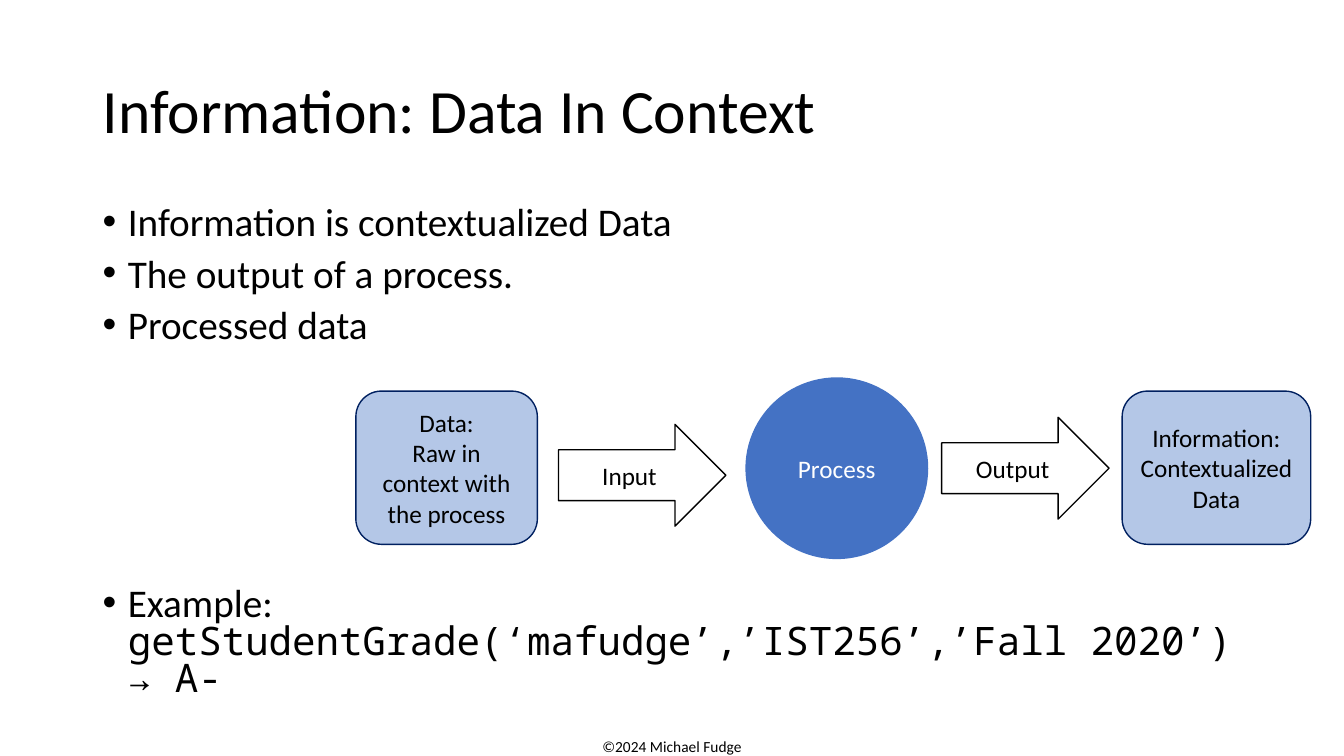
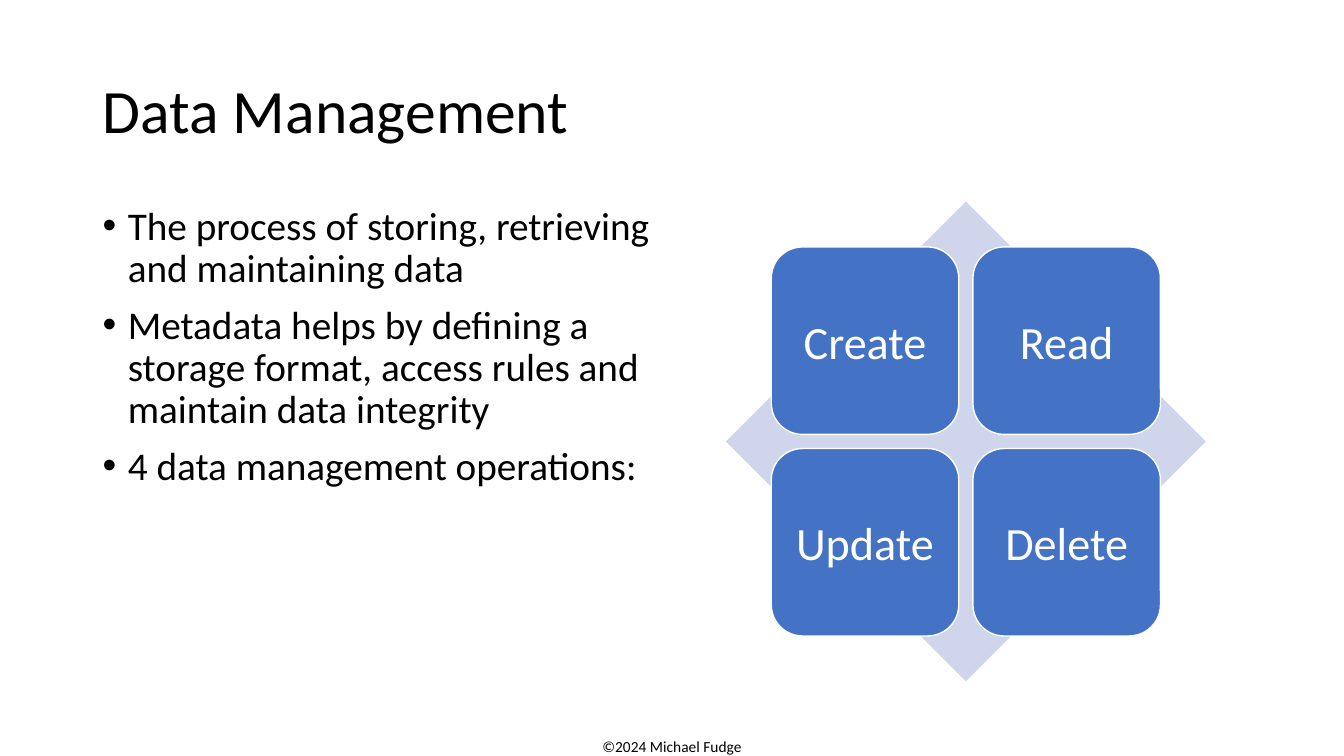
from itertools import product

from lxml.etree import SubElement
from pptx import Presentation
from pptx.dml.color import RGBColor
from pptx.enum.shapes import MSO_SHAPE as Shape
from pptx.enum.text import MSO_ANCHOR as Anchor, PP_ALIGN as Align
from pptx.oxml.ns import qn
from pptx.util import Inches, Pt

FONT, MONO = "Calibri", "Noto Sans Mono"
BLACK, WHITE, BLUE = "000000", "FFFFFF", "4472C4"
PALE, NAVY, MIST = "B4C7E7", "002060", "CFD5EA"
LEFT, TOP, HIGH = 0.92, 2, 4.76


def color(code):
    """Turn a hex string into a colour."""
    return RGBColor.from_string(code)


def style(para, size, tint=BLACK, align=Align.LEFT, lead=None):
    """Format a paragraph and its runs."""
    para.alignment = align
    if lead:
        para.line_spacing = lead
    for run in para.runs:
        run.font.name = FONT
        run.font.size = Pt(size)
        run.font.color.rgb = color(tint)


def add_text(slide, box, text, size, anchor=Anchor.TOP, **look):
    """Add a wrapped one-paragraph text box."""
    frame = slide.shapes.add_textbox(*map(Inches, box)).text_frame
    frame.word_wrap = True
    frame.vertical_anchor = anchor
    frame.paragraphs[0].text = text
    style(frame.paragraphs[0], size, **look)


def add_list(slide, box, items, lead):
    """Add a bulleted list and return its paragraphs."""
    frame = slide.shapes.add_textbox(*map(Inches, box)).text_frame
    frame.word_wrap = True
    for i, item in enumerate(items):
        para = frame.add_paragraph() if i else frame.paragraphs[0]
        para.text = item
        style(para, 28, lead=lead)
        para.space_before = Pt(10)
        props = para._p.get_or_add_pPr()
        props.set("marL", str(Inches(0.25)))
        props.set("indent", str(-Inches(0.25)))
        SubElement(props, qn("a:buFont"), typeface="Arial")
        SubElement(props, qn("a:buChar"), char="•")
    return frame.paragraphs


def add_block(slide, kind, box, fill, line=None, text="", size=18, tint=BLACK):
    """Add a filled shape with centred text."""
    block = slide.shapes.add_shape(kind, *map(Inches, box))
    block.shadow.inherit = False
    block.fill.solid()
    block.fill.fore_color.rgb = color(fill)
    if line:
        block.line.color.rgb = color(line)
        block.line.width = Pt(1)
    else:
        block.line.fill.background()
    if text:
        frame = block.text_frame
        frame.word_wrap = True
        frame.vertical_anchor = Anchor.MIDDLE
        frame.paragraphs[0].text = text
        style(frame.paragraphs[0], size, tint, Align.CENTER)


def add_slide(deck, title):
    """Add a blank slide with the shared title and footer."""
    slide = deck.slides.add_slide(deck.slide_layouts[6])
    add_text(slide, (5.67, 7.26, 1.99, 0.24), "©2024 Michael Fudge", 11,
             align=Align.CENTER)
    add_text(slide, (LEFT, 0.4, 11.5, 1.45), title, 44, Anchor.MIDDLE, lead=0.9)
    return slide


def add_flow(slide, left, top):
    """Draw the flow from data through a process to information."""
    card, arrow, disc = (Shape.ROUNDED_RECTANGLE, Shape.RIGHT_ARROW,
                         Shape.FLOWCHART_CONNECTOR)
    parts = [
        (card, 0, 0.13, 1.8, 1.52, PALE, NAVY,
         "Data:\nRaw in context with the process", BLACK),
        (arrow, 2.01, 0.46, 1.66, 1.01, WHITE, BLACK, "Input", BLACK),
        (disc, 3.87, 0, 1.8, 1.79, BLUE, BLUE, "Process", WHITE),
        (arrow, 5.81, 0.39, 1.66, 1.01, WHITE, BLACK, "Output", BLACK),
        (card, 7.6, 0.13, 1.87, 1.52, PALE, NAVY,
         "Information:\nContextualized\nData", BLACK),
    ]
    for kind, x, y, wide, high, fill, line, text, tint in parts:
        add_block(slide, kind, (left + x, top + y, wide, high), fill, line,
                  text, tint=tint)


def add_matrix(slide, left, top, side, names):
    """Draw four tiles centred on a diamond."""
    tile, gap = 1.86, 0.14
    inset = (side - 2 * tile - gap) / 2
    add_block(slide, Shape.DIAMOND, (left, top, side, side), MIST)
    for (row, col), name in zip(product(range(2), repeat=2), names):
        box = (left + inset + col * (tile + gap),
               top + inset + row * (tile + gap), tile, tile)
        add_block(slide, Shape.ROUNDED_RECTANGLE, box, BLUE, WHITE, name, 33, WHITE)


def info_slide(deck):
    """Build the slide on information."""
    slide = add_slide(deck, "Information: Data In Context")
    add_list(slide, (LEFT, TOP, 11.73, 1.6),
             ["Information is contextualized Data", "The output of a process.",
              "Processed data"], 0.8)
    code = "getStudentGrade(‘mafudge’,’IST256’,’Fall 2020’) → A-"
    case = add_list(slide, (LEFT, 5.78, 11.73, 1.3), ["Example:\n" + code], 0.8)
    case[0].runs[1].font.name = MONO
    add_flow(slide, 3.53, 3.75)


def data_slide(deck):
    """Build the slide on data management."""
    slide = add_slide(deck, "Data Management")
    add_list(slide, (LEFT, TOP, 5.67, HIGH),
             ["The process of storing, retrieving and maintaining data",
              "Metadata helps by defining a storage format, access rules and "
              "maintain data integrity",
              "4 data management operations:"], 0.9)
    add_matrix(slide, 7.2, TOP, HIGH, ["Create", "Read", "Update", "Delete"])


def main():
    """Build and save the deck."""
    deck = Presentation()
    deck.slide_width, deck.slide_height = Inches(13.33), Inches(7.5)
    info_slide(deck)
    data_slide(deck)
    deck.save("out.pptx")


if __name__ == "__main__":
    main()
